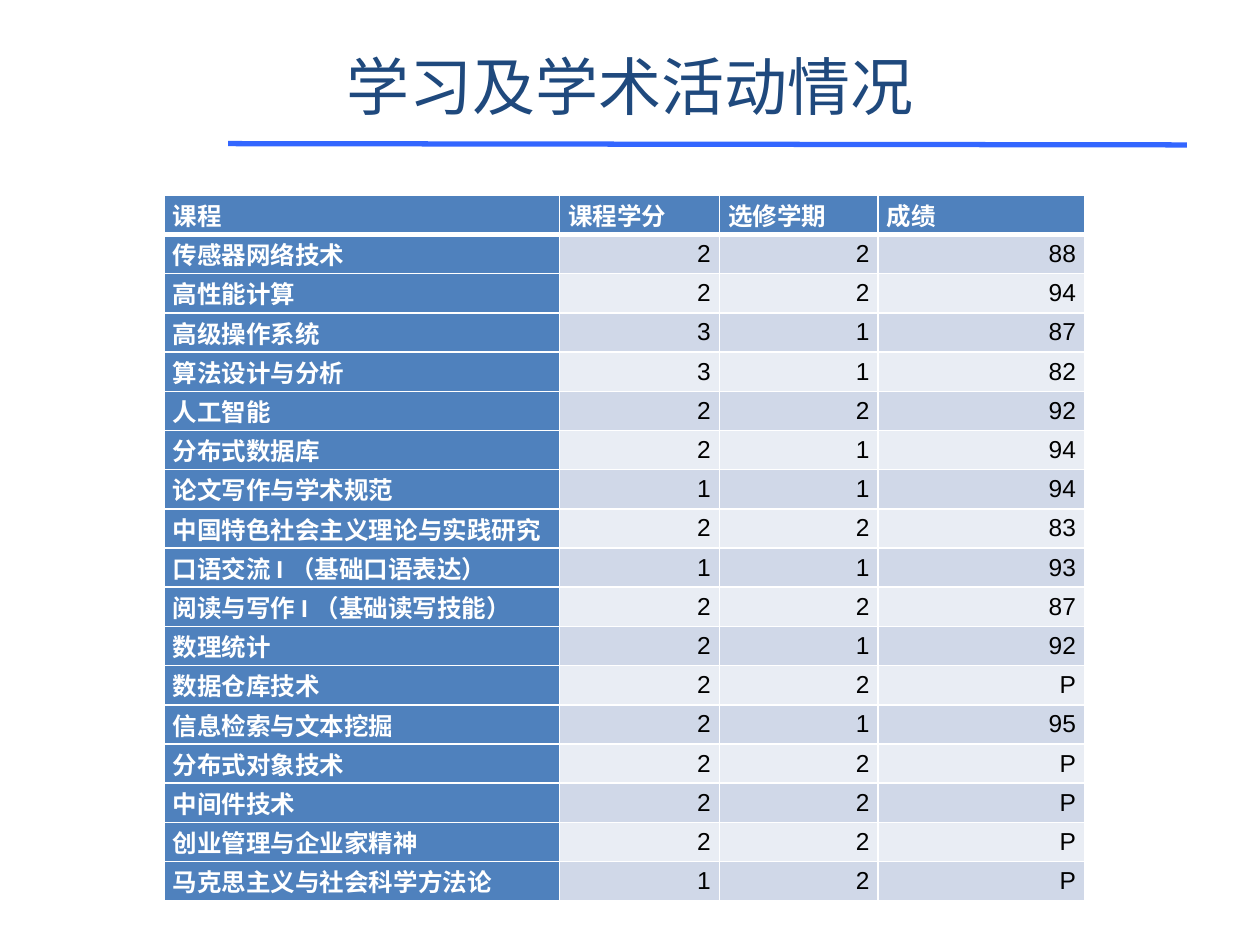
from lxml.etree import SubElement
from pptx import Presentation
from pptx.dml.color import RGBColor
from pptx.enum.shapes import MSO_CONNECTOR
from pptx.enum.text import MSO_ANCHOR, PP_ALIGN
from pptx.oxml.ns import qn
from pptx.util import Inches, Pt

TITLE_COLOR, RULE_COLOR = "1F497D", "3366FF"
HEADER_FILL, BAND_FILLS = "4F81BD", ("D0D8E8", "E9EDF4")
WHITE, BLACK = "FFFFFF", "000000"

HEADINGS = ("课程", "课程学分", "选修学期", "成绩")
COURSES = [
    ("传感器网络技术", 2, 2, 88),
    ("高性能计算", 2, 2, 94),
    ("高级操作系统", 3, 1, 87),
    ("算法设计与分析", 3, 1, 82),
    ("人工智能", 2, 2, 92),
    ("分布式数据库", 2, 1, 94),
    ("论文写作与学术规范", 1, 1, 94),
    ("中国特色社会主义理论与实践研究", 2, 2, 83),
    ("口语交流 I （基础口语表达）", 1, 1, 93),
    ("阅读与写作 I （基础读写技能）", 2, 2, 87),
    ("数理统计", 2, 1, 92),
    ("数据仓库技术", 2, 2, "P"),
    ("信息检索与文本挖掘", 2, 1, 95),
    ("分布式对象技术", 2, 2, "P"),
    ("中间件技术", 2, 2, "P"),
    ("创业管理与企业家精神", 2, 2, "P"),
    ("马克思主义与社会科学方法论", 1, 2, "P"),
]
COLUMN_WIDTHS = (3.14, 1.27, 1.26, 1.64)
CELL_FORMAT = {
    "margin_left": Inches(0.07),
    "margin_right": Inches(0.07),
    "margin_top": 0,
    "margin_bottom": 0,
    "vertical_anchor": MSO_ANCHOR.MIDDLE,
}


def rgb(hex_color):
    return RGBColor.from_string(hex_color)


def write(paragraph, text, align, color, **font_format):
    paragraph.alignment = align
    run = paragraph.add_run()
    run.text = text
    run.font.color.rgb = rgb(color)
    for name, value in font_format.items():
        setattr(run.font, name, value)


def add_title(slide, left, top, width, height):
    title = slide.shapes.title
    box = {"left": left, "top": top, "width": width, "height": height}
    for name, value in box.items():
        setattr(title, name, Inches(value))
    title.text_frame.vertical_anchor = MSO_ANCHOR.MIDDLE
    write(title.text_frame.paragraphs[0], "学习及学术活动情况", PP_ALIGN.CENTER,
          TITLE_COLOR, name="Calibri", size=Pt(36))


def add_title_rule(slide, left, top, width, height):
    rule = slide.shapes.add_connector(
        MSO_CONNECTOR.STRAIGHT, Inches(left), Inches(top),
        Inches(left + width), Inches(top + height))
    rule.line.color.rgb = rgb(RULE_COLOR)
    rule.line.width = Pt(3)
    SubElement(rule._element.spPr, qn("a:effectLst"))


def set_borders(cell, **widths):
    """Draw white borders; widths are points for the sides L, R, T and B."""
    properties = cell._tc.get_or_add_tcPr()
    for side in "LRTB":
        border = SubElement(properties, qn(f"a:ln{side}"),
                            w=str(Pt(widths.get(side, 1))))
        fill = SubElement(border, qn("a:solidFill"))
        SubElement(fill, qn("a:srgbClr"), val=WHITE)


def add_course_table(slide, left, top, width, height):
    rows = [HEADINGS, *COURSES]
    table = slide.shapes.add_table(
        len(rows), len(HEADINGS), Inches(left), Inches(top),
        Inches(width), Inches(height)).table
    for column, column_width in zip(table.columns, COLUMN_WIDTHS):
        column.width = Inches(column_width)
    table.first_col = True

    for r, row in enumerate(rows):
        edge = {0: {"B": 3}, 1: {"T": 3}}.get(r, {})
        for c, value in enumerate(row):
            cell = table.cell(r, c)
            is_heading = r == 0 or c == 0
            for name, setting in CELL_FORMAT.items():
                setattr(cell, name, setting)
            set_borders(cell, **edge)
            cell.fill.solid()
            cell.fill.fore_color.rgb = rgb(
                HEADER_FILL if is_heading else BAND_FILLS[(r - 1) % 2])
            write(cell.text_frame.paragraphs[0], str(value),
                  PP_ALIGN.LEFT if is_heading else PP_ALIGN.RIGHT,
                  WHITE if is_heading else BLACK,
                  name="Arial", size=Pt(14), bold=is_heading)


def main():
    presentation = Presentation()
    presentation.slide_width = Inches(10)
    presentation.slide_height = Inches(7.5)
    slide = presentation.slides.add_slide(presentation.slide_layouts[5])
    add_title_rule(slide, 1.81, 1.14, 7.61, 0.01)
    add_title(slide, 0.5, 0.13, 9, 1.1)
    add_course_table(slide, 1.3, 1.55, 7.32, 5.6)
    presentation.save("out.pptx")


if __name__ == "__main__":
    main()
